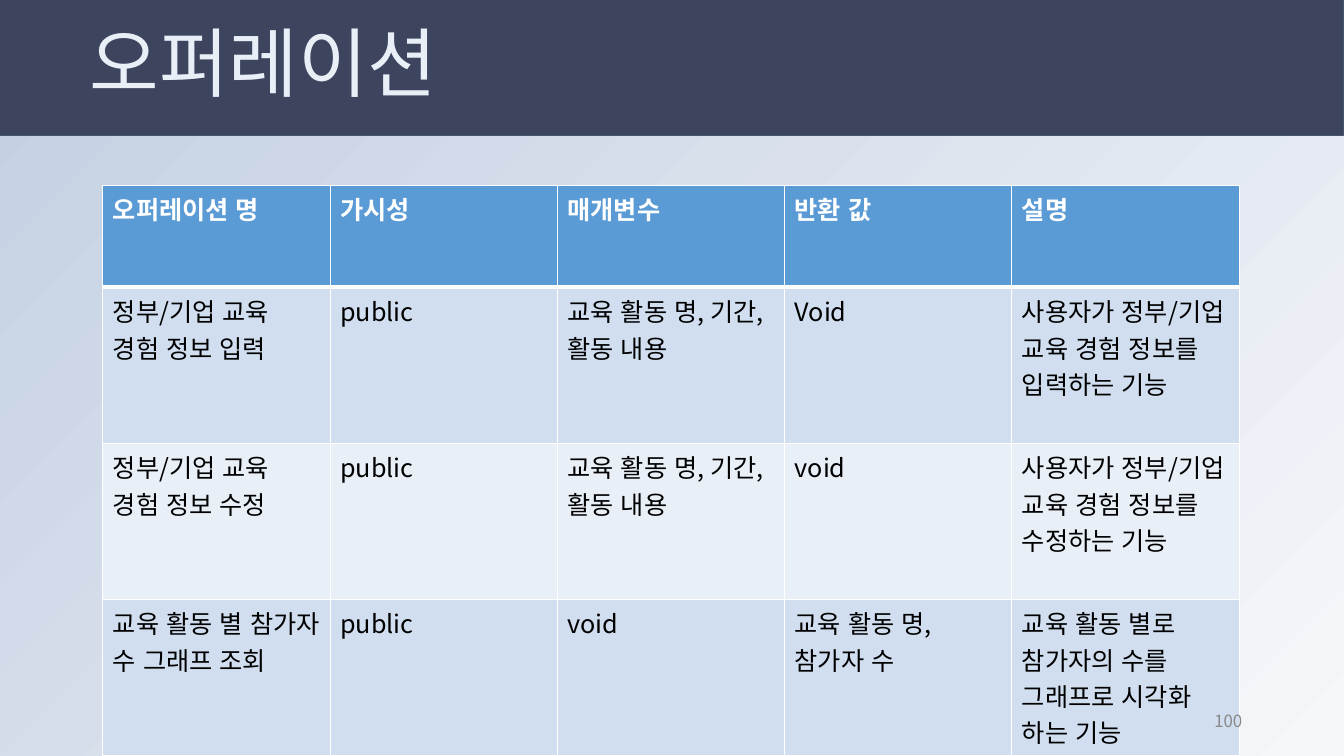
from lxml import etree
from pptx import Presentation
from pptx import util as u
from pptx.dml.color import RGBColor
from pptx.enum import lang, shapes, text
from pptx.oxml import ns

FONT = "Noto Sans CJK KR"
WHITE = RGBColor(0xFF, 0xFF, 0xFF)
BLACK = RGBColor(0x00, 0x00, 0x00)
GREY = RGBColor(0x88, 0x88, 0x88)
NAVY = RGBColor(0x3D, 0x44, 0x5E)
SLATE = RGBColor(0x44, 0x54, 0x6A)
HEADER_BLUE = RGBColor(0x5B, 0x9B, 0xD5)
BAND_DARK = RGBColor(0xD0, 0xDE, 0xEF)
BAND_LIGHT = RGBColor(0xE9, 0xEF, 0xF7)
MIST = RGBColor(0xF5, 0xF7, 0xFA)
SKY = RGBColor(0xC3, 0xCF, 0xE2)

OPERATIONS = [
    ["오퍼레이션 명", "가시성", "매개변수", "반환 값", "설명"],
    ["정부/기업 교육 경험 정보 입력", "public", "교육 활동 명, 기간, 활동 내용", "Void",
     "사용자가 정부/기업 교육 경험 정보를 입력하는 기능"],
    ["정부/기업 교육 경험 정보 수정", "public", "교육 활동 명, 기간, 활동 내용", "void",
     "사용자가 정부/기업 교육 경험 정보를 수정하는 기능"],
    ["교육 활동 별 참가자 수 그래프 조회", "public", "void", "교육 활동 명, 참가자 수",
     "교육 활동 별로 참가자의 수를 그래프로 시각화 하는 기능"],
]


def write(frame, wording, size, color, bold=False, align=text.PP_ALIGN.LEFT,
          anchor=text.MSO_ANCHOR.TOP, spacing=None):
    frame.word_wrap = True
    frame.vertical_anchor = anchor
    paragraph = frame.paragraphs[0]
    paragraph.alignment = align
    paragraph.line_spacing = spacing
    run = paragraph.add_run()
    run.text = wording
    run.font.size = u.Pt(size)
    run.font.bold = bold
    run.font.color.rgb = color
    run.font.name = FONT
    run.font.language_id = lang.MSO_LANGUAGE_ID.KOREAN
    etree.SubElement(run.font._element, ns.qn("a:ea"), typeface=FONT)


def add_text(slide, box, wording, **style):
    frame = slide.shapes.add_textbox(*map(u.Inches, box)).text_frame
    write(frame, wording, anchor=text.MSO_ANCHOR.MIDDLE, **style)


def set_borders(cell, bottom):
    properties = cell._tc.get_or_add_tcPr()
    for side, width in (("L", 1), ("R", 1), ("T", 1), ("B", bottom)):
        line = etree.SubElement(properties, ns.qn(f"a:ln{side}"), w=str(u.Pt(width)))
        fill = etree.SubElement(line, ns.qn("a:solidFill"))
        etree.SubElement(fill, ns.qn("a:srgbClr"), val=str(WHITE))


def paint_background(slide):
    fill = slide.background.fill
    fill.gradient()
    fill.gradient_angle = 135
    for stop, color, position in zip(fill.gradient_stops, (MIST, SKY), (0, 1)):
        stop.color.rgb = color
        stop.position = position


def add_operations(slide, left, top, width, height):
    row_count, column_count = len(OPERATIONS), len(OPERATIONS[0])
    table = slide.shapes.add_table(
        row_count, column_count, *map(u.Inches, (left, top, width, height))).table
    for column in table.columns:
        column.width = u.Inches(width / column_count)
    for index, operation in enumerate(OPERATIONS):
        header = index == 0
        band = HEADER_BLUE if header else BAND_DARK if index % 2 else BAND_LIGHT
        for cell, wording in zip(table.rows[index].cells, operation):
            set_borders(cell, bottom=3 if header else 1)
            cell.fill.solid()
            cell.fill.fore_color.rgb = band
            write(cell.text_frame, wording, 18, WHITE if header else BLACK, bold=header)


def add_title(slide, left, top, width, height):
    banner = slide.shapes.add_shape(
        shapes.MSO_SHAPE.RECTANGLE, *map(u.Inches, (left, top, width, height)))
    banner.shadow.inherit = False
    banner.fill.solid()
    banner.fill.fore_color.rgb = NAVY
    banner.line.color.rgb = SLATE
    banner.line.width = u.Pt(0.75)
    add_text(slide, (left + 0.79, top - 0.05, 11.5, height + 0.1), "오퍼레이션",
             size=54, color=BAND_LIGHT, spacing=0.9)


def add_page_number(slide, *box):
    add_text(slide, box, "100", size=12, color=GREY, align=text.PP_ALIGN.RIGHT)


def main():
    deck = Presentation()
    deck.slide_width, deck.slide_height = u.Inches(13.33), u.Inches(7.5)
    slide = deck.slides.add_slide(deck.slide_layouts[6])
    paint_background(slide)
    add_operations(slide, 1.02, 1.84, 11.27, 4.04)
    add_title(slide, 0, -0.01, 13.33, 1.35)
    add_page_number(slide, 9.42, 6.95, 3, 0.4)
    deck.save("out.pptx")


if __name__ == "__main__":
    main()
